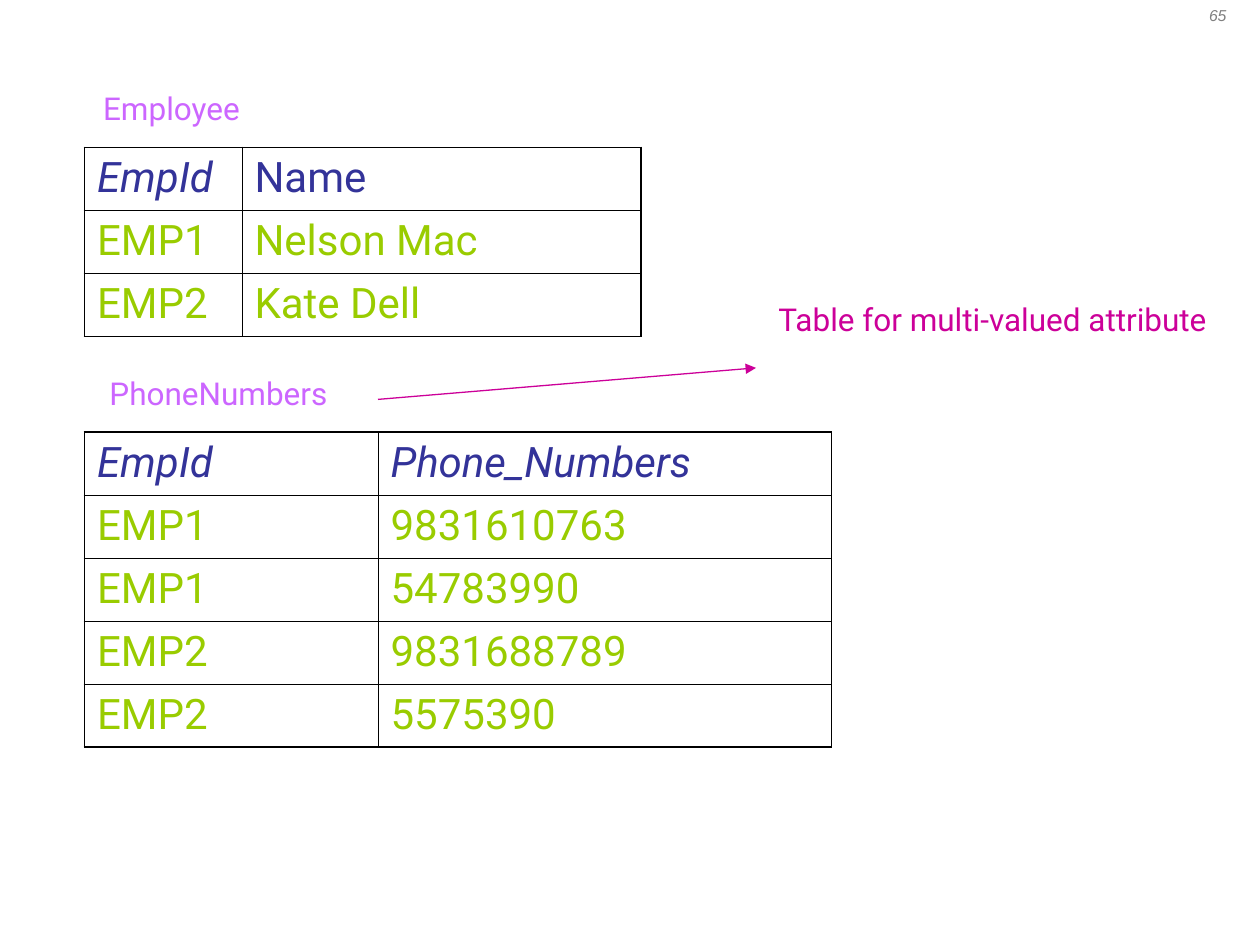
from dataclasses import dataclass

from lxml.etree import SubElement
from pptx import Presentation
from pptx.dml.color import RGBColor
from pptx.enum.shapes import MSO_CONNECTOR
from pptx.enum.text import MSO_AUTO_SIZE, PP_ALIGN
from pptx.oxml.ns import qn
from pptx.slide import Slide
from pptx.table import _Cell
from pptx.text.text import TextFrame
from pptx.util import Inches, Pt

HEADING_COLOR = "333399"
VALUE_COLOR = "99CC00"
CAPTION_COLOR = "CC66FF"
NOTE_COLOR = "CC0099"
BORDER_COLOR = "000000"
OUTER_BORDER = 1.08
INNER_BORDER = 0.45
ROW_HEIGHT = 0.5


@dataclass
class Label:
    text: str
    left: float
    top: float
    width: float
    height: float
    color: str
    size: float = 18
    font: str = "Roboto"
    italic: bool = False
    wrap: bool = True
    align: PP_ALIGN = PP_ALIGN.LEFT


@dataclass
class Relation:
    left: float
    top: float
    column_widths: list[float]
    rows: list[list[str]]
    key_columns: set[int]


LABELS = [
    Label("65", 9.33, 0, 0.67, 0.5, "808080", size=9, font="Arial",
          italic=True, align=PP_ALIGN.CENTER),
    Label("Employee", 0.72, 0.66, 1.35, 0.4, CAPTION_COLOR, wrap=False),
    Label("PhoneNumbers", 0.77, 2.92, 2.05, 0.4, CAPTION_COLOR, wrap=False),
    Label("Table for multi-valued attribute", 6.08, 2.33, 3.75, 0.7, NOTE_COLOR),
]

RELATIONS = [
    Relation(0.67, 1.17, [1.25, 3.17], [
        ["EmpId", "Name"],
        ["EMP1", "Nelson Mac"],
        ["EMP2", "Kate Dell"],
    ], {0}),
    Relation(0.67, 3.43, [2.33, 3.6], [
        ["EmpId", "Phone_Numbers"],
        ["EMP1", "9831610763"],
        ["EMP1", "54783990"],
        ["EMP2", "9831688789"],
        ["EMP2", "5575390"],
    ], {0, 1}),
]


def rgb(color: str) -> RGBColor:
    return RGBColor.from_string(color)


def write_text(frame: TextFrame, text: str, *, color: str, size: float = 18,
               font: str = "Roboto", italic: bool = False,
               align: PP_ALIGN = PP_ALIGN.LEFT) -> None:
    paragraph = frame.paragraphs[0]
    paragraph.alignment = align
    run = paragraph.add_run()
    run.text = text
    run.font.name = font
    run.font.size = Pt(size)
    run.font.italic = italic
    run.font.color.rgb = rgb(color)


def draw_label(slide: Slide, label: Label) -> None:
    shape = slide.shapes.add_textbox(Inches(label.left), Inches(label.top),
                                     Inches(label.width), Inches(label.height))
    frame = shape.text_frame
    frame.word_wrap = label.wrap
    frame.auto_size = MSO_AUTO_SIZE.NONE
    write_text(frame, label.text, color=label.color, size=label.size,
               font=label.font, italic=label.italic, align=label.align)


def set_borders(cell: _Cell, outer_sides: dict[str, bool]) -> None:
    properties = cell._tc.get_or_add_tcPr()
    for side, is_outer in outer_sides.items():
        width = Pt(OUTER_BORDER if is_outer else INNER_BORDER)
        border = SubElement(properties, qn(f"a:ln{side}"), w=str(width))
        fill = SubElement(border, qn("a:solidFill"))
        SubElement(fill, qn("a:srgbClr"), val=BORDER_COLOR)


def draw_relation(slide: Slide, relation: Relation) -> None:
    row_count = len(relation.rows)
    column_count = len(relation.column_widths)
    table = slide.shapes.add_table(
        row_count, column_count, Inches(relation.left), Inches(relation.top),
        Inches(sum(relation.column_widths)), Inches(ROW_HEIGHT * row_count)).table
    table.first_row = False
    table.horz_banding = False
    for column, width in zip(table.columns, relation.column_widths):
        column.width = Inches(width)
    for row_index, values in enumerate(relation.rows):
        table.rows[row_index].height = Inches(ROW_HEIGHT)
        is_heading = row_index == 0
        for column_index, value in enumerate(values):
            cell = table.cell(row_index, column_index)
            set_borders(cell, {
                "L": column_index == 0,
                "R": column_index == column_count - 1,
                "T": is_heading,
                "B": row_index == row_count - 1,
            })
            cell.fill.background()
            write_text(cell.text_frame, value, size=24,
                       color=HEADING_COLOR if is_heading else VALUE_COLOR,
                       italic=is_heading and column_index in relation.key_columns)


def draw_arrow(slide: Slide, start: tuple[float, float],
               end: tuple[float, float]) -> None:
    connector = slide.shapes.add_connector(
        MSO_CONNECTOR.STRAIGHT, Inches(start[0]), Inches(start[1]),
        Inches(end[0]), Inches(end[1]))
    connector.line.color.rgb = rgb(NOTE_COLOR)
    connector.line.width = Pt(0.75)
    SubElement(connector.line._get_or_add_ln(), qn("a:tailEnd"), type="triangle")
    SubElement(connector._element.spPr, qn("a:effectLst"))


def main() -> None:
    presentation = Presentation()
    presentation.slide_width = Inches(10)
    presentation.slide_height = Inches(7.5)
    slide = presentation.slides.add_slide(presentation.slide_layouts[6])
    for relation in RELATIONS:
        draw_relation(slide, relation)
    for label in LABELS:
        draw_label(slide, label)
    draw_arrow(slide, (3, 3.17), (6, 2.92))
    presentation.save("out.pptx")


if __name__ == "__main__":
    main()
